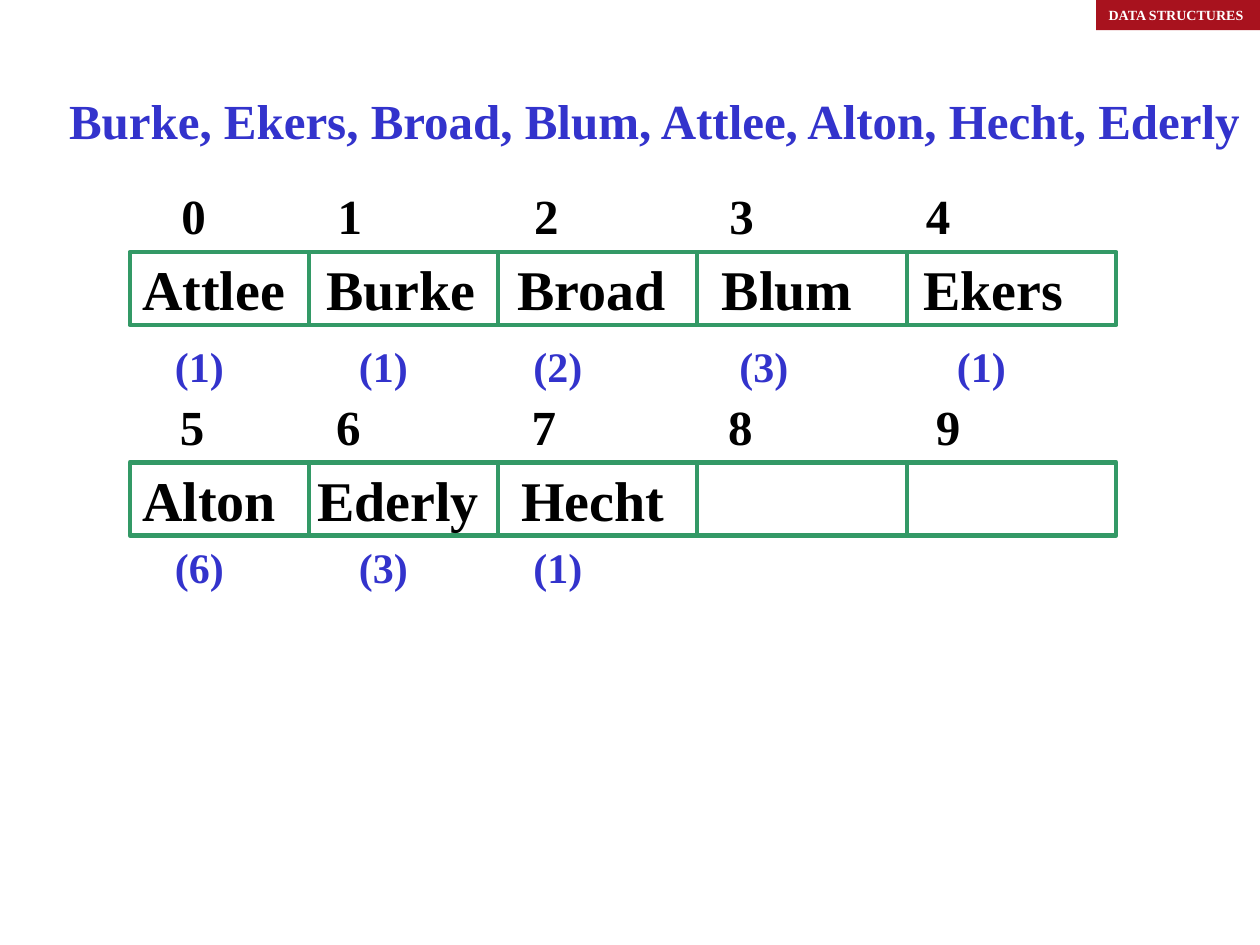
from lxml.etree import SubElement
from pptx import Presentation
from pptx.dml.color import RGBColor
from pptx.enum.shapes import MSO_CONNECTOR as Connector, MSO_SHAPE as Shape
from pptx.enum.text import MSO_ANCHOR as Anchor, PP_ALIGN as Align
from pptx.oxml.ns import qn
from pptx.util import Inches, Pt

WHITE = RGBColor(0xFF, 0xFF, 0xFF)
BLACK = RGBColor(0, 0, 0)
BLUE = RGBColor(0x33, 0x33, 0xCC)
GREEN = RGBColor(0x33, 0x99, 0x66)
RED = RGBColor(0xC8, 0x16, 0x27)
DARK_RED = RGBColor(0xA8, 0x12, 0x1E)

WIDTH, HEIGHT = Inches(10), Inches(7.5)
INSET = 1
DIVIDERS = (24.5, 39.5, 55.3, 72)
COUNT_STOPS = (28.5, 42.35, 58.7, 75.95)


def across(share):
    return round(WIDTH * share / 100)


def down(share):
    return round(HEIGHT * share / 100)


def place(box):
    left, top, width, height = box
    return across(left), down(top), across(width), down(height)


def write(shape, box, words, size, color, stops=(), wrap=True, anchor=Anchor.TOP):
    frame = shape.text_frame
    for name, value in {"word_wrap": wrap, "vertical_anchor": anchor}.items():
        setattr(frame, name, value)
    para = frame.paragraphs[0]
    para.alignment = Align.LEFT
    if stops:
        tabs = SubElement(para._p.get_or_add_pPr(), qn("a:tabLst"))
        for stop in stops:
            SubElement(tabs, qn("a:tab"), pos=str(across(stop - box[0] - INSET)), algn="l")
    span = para.add_run()
    span.text = "\t".join(words)
    span.font.color.rgb = color
    for name, value in {"name": "Times New Roman", "size": Pt(size), "bold": True}.items():
        setattr(span.font, name, value)


def add_label(page, box, words, size, color, stops=(), wrap=True):
    write(page.shapes.add_textbox(*place(box)), box, words, size, color, stops, wrap)


def add_block(page, box, fill=None):
    block = page.shapes.add_shape(Shape.RECTANGLE, *place(box))
    block.shadow.inherit = False
    if fill is None:
        block.fill.background()
        block.line.color.rgb = GREEN
        block.line.width = Pt(2.5)
    else:
        block.fill.solid()
        block.fill.fore_color.rgb = fill
        block.line.fill.background()
    return block


def add_header(page, box):
    left, top, width, height = box
    add_block(page, (left + 0.3, top, width - 0.3, height - 0.13), RED)
    write(add_block(page, box, DARK_RED), box, ["DATA STRUCTURES"], 8, WHITE)


def add_cells(page, box, names, stops):
    _, top, _, height = box
    write(add_block(page, box), box, names, 32, BLACK, stops, anchor=Anchor.MIDDLE)
    for divider in DIVIDERS:
        line = page.shapes.add_connector(
            Connector.STRAIGHT, across(divider), down(top + height), across(divider), down(top))
        line.line.color.rgb = GREEN
        line.line.width = Pt(2.5)
        SubElement(line._element.spPr, qn("a:effectLst"))


def add_buckets(page, index_box, cell_box, count_box, indexes, names, counts,
                index_stops, name_stops):
    add_label(page, index_box, indexes, 28, BLACK, index_stops)
    add_cells(page, cell_box, names, name_stops)
    add_label(page, count_box, counts, 24, BLUE, COUNT_STOPS[:len(counts) - 1])


def main():
    deck = Presentation()
    deck.slide_width, deck.slide_height = WIDTH, HEIGHT
    page = deck.slides.add_slide(deck.slide_layouts[6])
    add_header(page, (87, 0, 13.3, 3.2))
    add_buckets(page, (13.4, 18.93, 63.1, 7.6), (10.3, 26.67, 78.3, 7.73),
                (12.9, 35.33, 68.1, 6.67), "01234",
                ["Attlee", "Burke", "Broad", "Blum", "Ekers"],
                ["(1)", "(1)", "(2)", "(3)", "(1)"],
                (26.8, 42.4, 57.9, 73.5), (25.9, 41.1, 57.3, 73.3))
    add_buckets(page, (13.3, 41.33, 65.1, 7.6), (10.3, 48.93, 78.3, 7.73),
                (12.9, 56.67, 34.8, 6.67), "56789",
                ["Alton", "Ederly", "Hecht"], ["(6)", "(3)", "(1)"],
                (26.7, 42.2, 57.8, 74.3), (25.2, 41.4))
    add_label(page, (4.5, 8.93, 95.4, 7.6),
              ["Burke, Ekers, Broad, Blum, Attlee, Alton, Hecht, Ederly"], 28, BLUE, wrap=False)
    deck.save("out.pptx")


if __name__ == "__main__":
    main()
